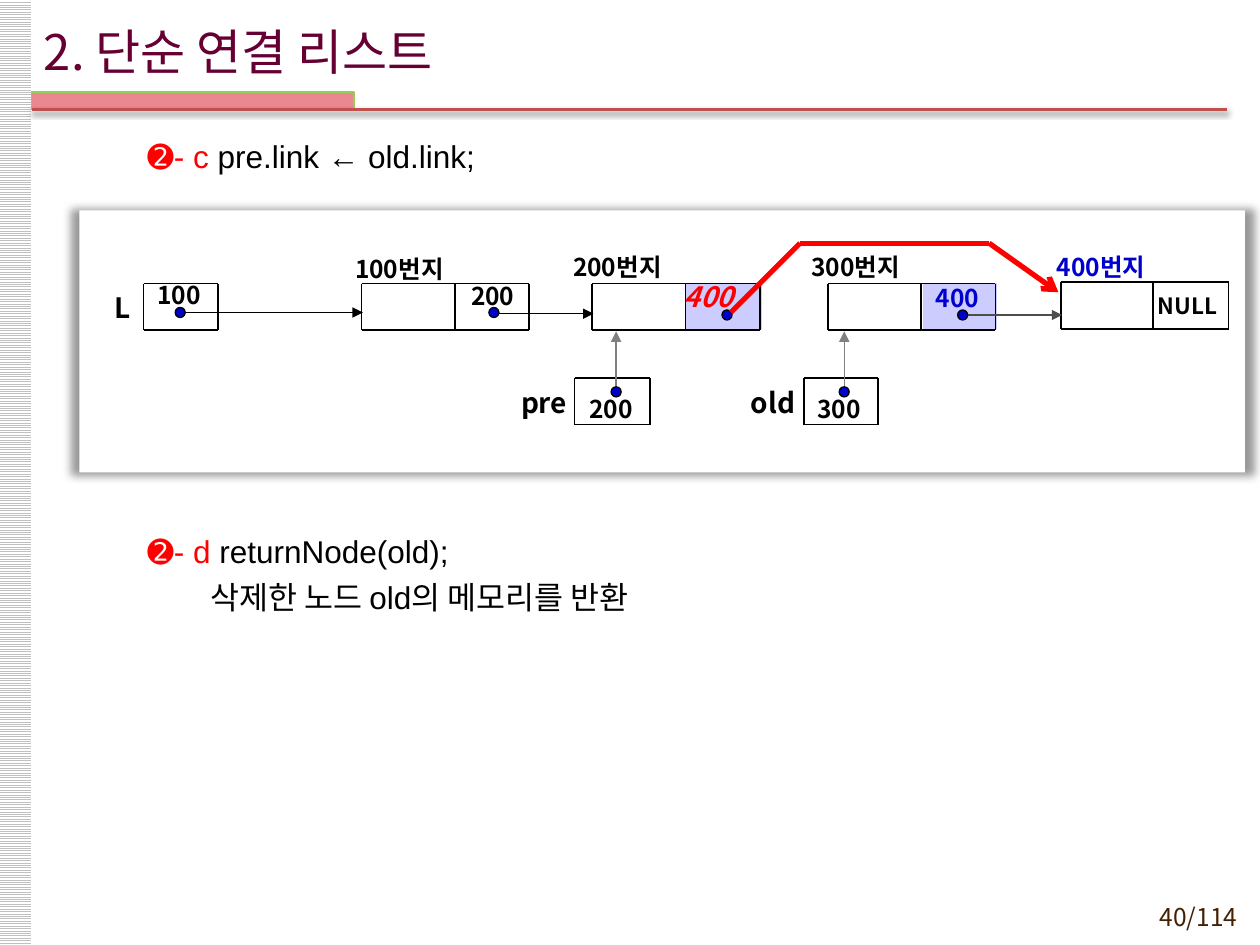
from lxml import etree
from pptx import Presentation
from pptx.dml.color import RGBColor
from pptx.enum import dml, shapes, text
from pptx.oxml.ns import qn
from pptx.util import Inches, Pt

BLACK = RGBColor(0, 0, 0)
WHITE = RGBColor(0xFF, 0xFF, 0xFF)
RED = RGBColor(0xFF, 0, 0)
BLUE = RGBColor(0, 0, 0xCC)
LILAC = RGBColor(0xCC, 0xCC, 0xFF)
GRAY = RGBColor(0x80, 0x80, 0x80)
DARK_GRAY = RGBColor(0x4D, 0x4D, 0x4D)
SILVER = RGBColor(0xC0, 0xC0, 0xC0)
PINK = RGBColor(0xEA, 0x88, 0x92)
GREEN = RGBColor(0x92, 0xD0, 0x50)
BRICK = RGBColor(0xC0, 0x50, 0x4D)
PLUM = RGBColor(0x66, 0, 0x33)
BROWN = RGBColor(0x45, 0x21, 0x03)
KOREAN = "Noto Sans CJK KR"
LEFT, CENTER, RIGHT = text.PP_ALIGN.LEFT, text.PP_ALIGN.CENTER, text.PP_ALIGN.RIGHT
RECT, OVAL = shapes.MSO_SHAPE.RECTANGLE, shapes.MSO_SHAPE.OVAL

prs = Presentation()
prs.slide_width, prs.slide_height = Inches(10), Inches(7.5)
s = prs.slides.add_slide(prs.slide_layouts[6])


def add_line(x1, y1, x2, y2, color=BLACK, width=1, arrow=None):
    ln = s.shapes.add_connector(shapes.MSO_CONNECTOR.STRAIGHT,
                                *map(Inches, (x1, y1, x2, y2)))
    ln.line.color.rgb = color
    ln.line.width = Pt(width)
    if arrow:
        etree.SubElement(ln.line._ln, qn("a:tailEnd"), type=arrow)
    etree.SubElement(ln._element.spPr, qn("a:effectLst"))
    return ln


def add_text(box, paragraphs, size, insets=(0.1, 0, 0, 0), align=LEFT, font=KOREAN,
             anchor=text.MSO_ANCHOR.MIDDLE, **style):
    """Each paragraph is a list of (words, colour) runs."""
    tf = s.shapes.add_textbox(*map(Inches, box)).text_frame
    tf.word_wrap, tf.vertical_anchor = True, anchor
    tf.margin_left, tf.margin_top, tf.margin_right, tf.margin_bottom = map(Inches, insets)
    for i, runs in enumerate(paragraphs):
        p = tf.paragraphs[0] if i == 0 else tf.add_paragraph()
        p.alignment = align
        for words, color in runs:
            r = p.add_run()
            r.text = words
            for name, value in dict(size=Pt(size), name=font, **style).items():
                setattr(r.font, name, value)
            r.font.color.rgb = color
            etree.SubElement(r.font._element, qn("a:ea"), typeface=KOREAN)
    return tf


# Side strip, title and header rule
strip = s.shapes.add_shape(RECT, Inches(-0.01), 0, Inches(0.26), Inches(7.5))
strip.shadow.inherit = False
strip.line.fill.background()
strip.fill.patterned()
strip.fill.pattern = dml.MSO_PATTERN.LIGHT_HORIZONTAL
strip.fill.fore_color.rgb, strip.fill.back_color.rgb = SILVER, WHITE

# Filled shapes: header tab, diagram card, changed link fields
filled = {}
for name, box, fill, outline in (
        ("tab", (0.25, 0.73, 2.56, 0.14), PINK, GREEN),
        ("card", (0.63, 1.67, 9.25, 2.08), WHITE, None),
        ("pre link", (5.44, 2.25, 0.6, 0.36), LILAC, LILAC),
        ("old link", (7.33, 2.25, 0.58, 0.36), LILAC, LILAC)):
    sp = filled[name] = s.shapes.add_shape(RECT, *map(Inches, box))
    sp.shadow.inherit = False
    sp.fill.solid()
    sp.fill.fore_color.rgb = fill
    if outline:
        sp.line.color.rgb = outline
        sp.line.width = Pt(0.75)
    else:
        sp.line.fill.background()

rule = add_line(0.25, 0.87, 9.74, 0.87, BRICK, 2)
for sp, alpha, attrs in (
        (rule, 38, dict(blurRad=Pt(3.1), dist=Pt(1.6), dir=5400000)),
        (filled["card"], 40, dict(blurRad=Pt(5), sx=101500, sy=101500, algn="ctr"))):
    effects = sp._element.spPr.find(qn("a:effectLst"))
    shadow = etree.SubElement(effects, qn("a:outerShdw"), rotWithShape="0",
                              **{k: str(v) for k, v in attrs.items()})
    color = etree.SubElement(shadow, qn("a:srgbClr"), val="000000")
    etree.SubElement(color, qn("a:alpha"), val=str(alpha * 1000))

add_text((0.25, 0.09, 8.27, 0.63), [[("2. 단순 연결 리스트", PLUM)]], 28)
add_text((8.86, 7.13, 1.06, 0.29), [[("40/114", BROWN)]], 14, (0, 0, 0.1, 0), RIGHT)

# Algorithm steps
body = dict(size=18, insets=(0, 0, 0, 0), font="Arial", anchor=text.MSO_ANCHOR.TOP)
add_text((1.17, 1.09, 8.5, 0.4), [[("➋- c ", RED), ("pre.link ← old.link;", BLACK)]], **body)
tf = add_text((1.17, 4.22, 8.5, 0.8),
              [[("➋- d ", RED), ("returnNode(old);", BLACK)],
               [("삭제한 노드 old의 메모리를 반환", BLACK)]], **body)
note = tf.paragraphs[1]
note.space_before = Pt(5)
note._p.get_or_add_pPr().set("marL", str(Inches(0.5)))

# Boxes: the x of every upright, then the top
H = 0.37
for xs, top in (((1.14, 1.73), 2.25), ((2.87, 3.61, 4.2), 2.25), ((4.7, 5.44, 6.03), 2.25),
                ((6.57, 7.31, 7.9), 2.25), ((8.42, 9.15, 9.75), 2.24),
                ((4.56, 5.16), 3), ((6.38, 6.97), 3)):
    for y in (top, top + H):
        add_line(xs[0], y, xs[-1], y)
    for x in xs:
        add_line(x, top, x, top + H)

# Addresses above the nodes and values inside the fields
for words, x, y, w, color in (
        ("100번지", 2.72, 2.04, 0.96, BLACK), ("200번지", 4.45, 2.03, 0.96, BLACK),
        ("300번지", 6.34, 2.03, 0.96, BLACK), ("400번지", 8.29, 2.03, 0.96, BLUE),
        ("100", 1.15, 2.25, 0.56, BLACK), ("200", 3.64, 2.26, 0.56, BLACK),
        ("400", 7.33, 2.27, 0.56, BLUE), ("200", 4.58, 3.15, 0.56, BLACK),
        ("300", 6.39, 3.15, 0.56, BLACK)):
    add_text((x, y, w, 0.18), [[(words, color)]], 14, bold=True)
add_text((5.33, 2.24, 0.66, 0.23), [[("400", RED)]], 16, bold=True, italic=True)

# Pointer names and the end mark
for words, x, y, w, align in (("L", 0.83, 2.27, 0.21, RIGHT), ("pre", 3.98, 3.03, 0.52, RIGHT),
                              ("old", 5.79, 3.03, 0.52, RIGHT), ("null", 9.1, 2.24, 0.65, CENTER)):
    tf = add_text((x, y, w, 0.38), [[(words, BLACK)]], 16, (0, 0, 0, 0.05), align, bold=True)
    if words == "null":
        tf.paragraphs[0].runs[0].font._element.set("cap", "small")

# Links
for x1, y1, x2, y2, color in (
        (1.47, 2.48, 2.88, 2.48, BLACK), (3.96, 2.49, 4.71, 2.49, BLACK),
        (7.68, 2.5, 8.43, 2.5, DARK_GRAY),
        (4.89, 3.07, 4.89, 2.63, GRAY), (6.7, 3.07, 6.7, 2.63, GRAY)):
    add_line(x1, y1, x2, y2, color, 0.75, "triangle")

for x, y in ((1.39, 2.44), (3.88, 2.44), (5.73, 2.46), (7.6, 2.46), (4.85, 3.07), (6.66, 3.07)):
    dot = s.shapes.add_shape(OVAL, *map(Inches, (x, y, 0.08, 0.08)))
    dot.shadow.inherit = False
    dot.fill.solid()
    dot.fill.fore_color.rgb = BLUE
    dot.line.color.rgb = BLACK
    dot.line.width = Pt(0.75)

# New link from pre past the old node
add_line(5.8, 2.48, 6.35, 1.93, RED, 3)
add_line(6.35, 1.93, 7.85, 1.93, RED, 3)
add_line(7.85, 1.93, 8.4, 2.32, RED, 3, "arrow")

prs.save("out.pptx")
